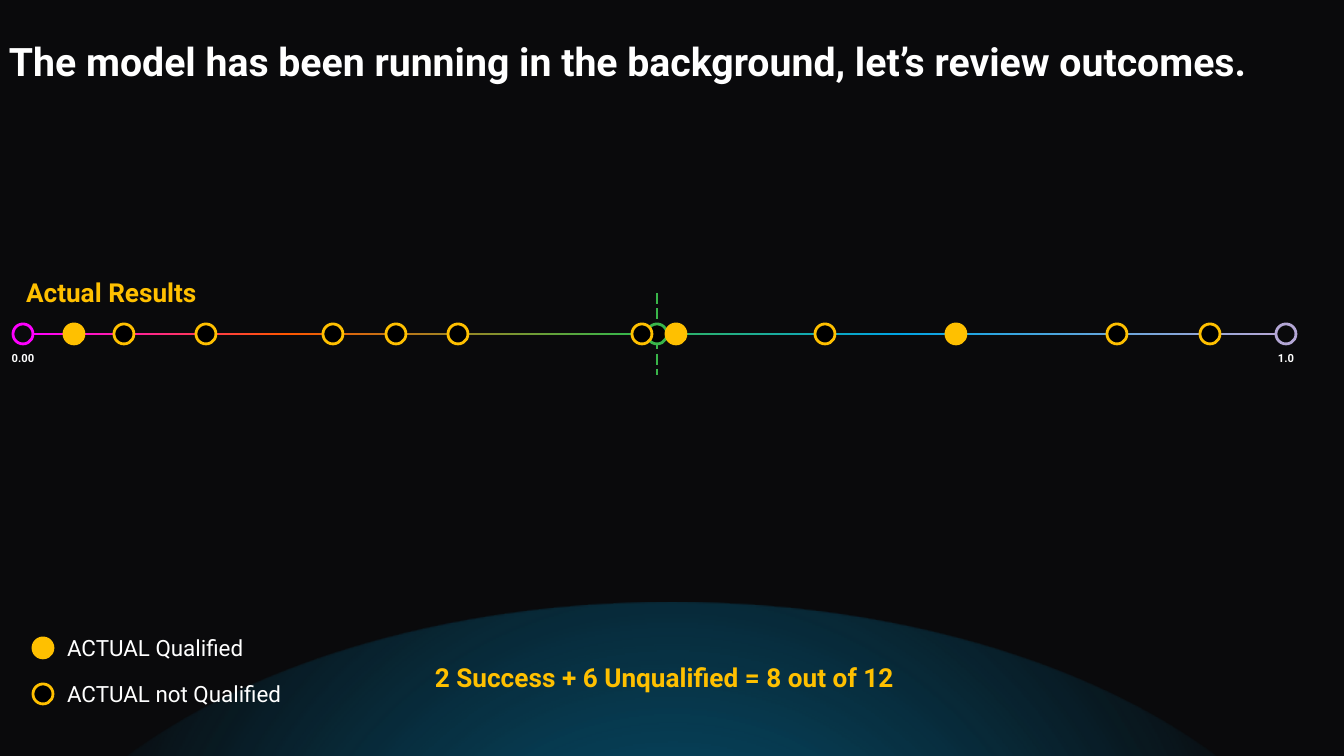
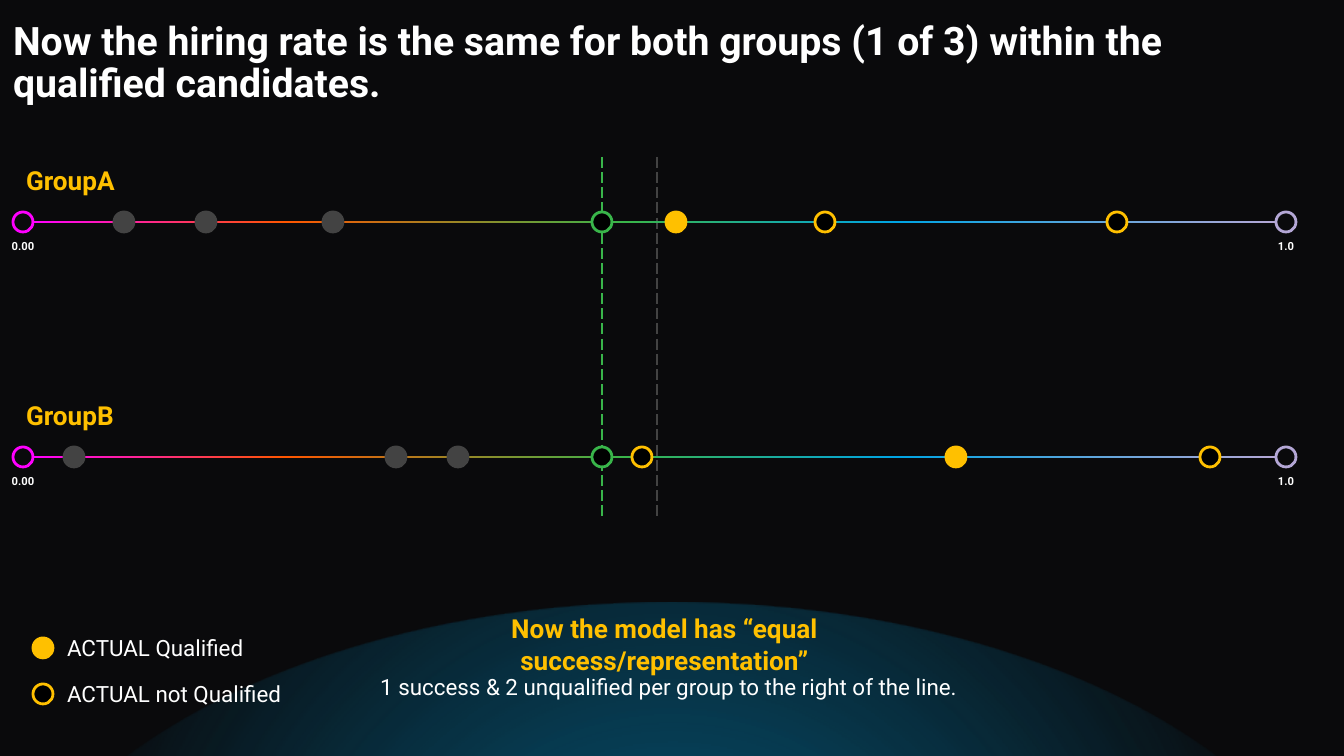
from dataclasses import dataclass

from lxml.etree import SubElement as Sub
from pptx import Presentation
from pptx.dml.color import RGBColor as Rgb
from pptx.enum.dml import MSO_LINE_DASH_STYLE as Dash
from pptx.enum.shapes import MSO_CONNECTOR_TYPE as Conn, MSO_SHAPE as Geom
from pptx.enum.text import MSO_ANCHOR as Anchor, MSO_AUTO_SIZE as Fit, PP_ALIGN as Align
from pptx.oxml.ns import qn
from pptx.util import Pt


@dataclass(frozen=True)
class Theme:
    font: str = "Roboto"
    night: str = "0A0A0C"
    black: str = "000000"
    white: str = "FFFFFF"
    gold: str = "FFC000"
    grey: str = "434343"
    pink: str = "FF00FF"
    orange: str = "FF5600"
    green: str = "39B54A"
    blue: str = "00A4E4"
    lilac: str = "B4A7D6"
    title: int = 21
    head: int = 14
    body: int = 12
    tick: int = 6


T = Theme()
WIDE, HIGH = 1344, 756
DOT = 20
START, END = 23, 1286
BANDS = [(34, T.pink), (285, T.orange), (627, T.green), (897, T.blue), (1275, T.lilac)]
TEAM_A = [124, 206, 333, 676, 825, 1117]
TEAM_B = [74, 396, 458, 642, 956, 1210]
SKILLED = {74, 676, 956}
OLD_CUT, NEW_CUT = 657, 602


def px(num):
    return round(num * 914400 / 134.4)


def place(shape, left, top, width, height):
    shape.left, shape.top = px(left), px(top)
    shape.width, shape.height = px(width), px(height)


def put_text(shape, text, size=T.body, color=T.white, bold=False, align=Align.LEFT,
             anchor=Anchor.TOP, inset=(13, 13), space=None):
    frame = shape.text_frame
    frame.word_wrap = True
    frame.auto_size = Fit.NONE
    frame.vertical_anchor = anchor
    frame.margin_left = frame.margin_right = px(inset[0])
    frame.margin_top = frame.margin_bottom = px(inset[1])
    frame.text = text
    para = frame.paragraphs[0]
    para.alignment = align
    if space:
        para.line_spacing = space
    font = para.font
    font.name, font.size, font.bold = T.font, Pt(size), bold
    font.color.rgb = Rgb.from_string(color)


def add_text(slide, box, text, **style):
    put_text(slide.shapes.add_textbox(*map(px, box)), text, **style)


def add_head(slide, box, text, **style):
    add_text(slide, box, text, size=T.head, color=T.gold, bold=True,
             anchor=Anchor.MIDDLE, **style)


def add_plain(shapes, geom, box):
    shape = shapes.add_shape(geom, *map(px, box))
    shape.shadow.inherit = False
    return shape


def add_dot(slide, x, y, fill, line):
    """Ring or disc centred on x, y."""
    dot = add_plain(slide.shapes, Geom.OVAL, (x - DOT / 2, y - DOT / 2, DOT, DOT))
    dot.fill.solid()
    dot.fill.fore_color.rgb = Rgb.from_string(fill)
    dot.line.color.rgb = Rgb.from_string(line)
    dot.line.width = Pt(1.5)


def blend(shape, stops, radial=False):
    """Fill with stops of (percent, colour, opacity percent)."""
    shape.line.fill.background()
    shape.fill.gradient()
    grad = shape.element.spPr.find(qn("a:gradFill"))
    grad.clear()
    row = Sub(grad, qn("a:gsLst"))
    for pos, color, alpha in stops:
        stop = Sub(row, qn("a:gs"), pos=str(pos * 1000))
        tint = Sub(stop, qn("a:srgbClr"), val=color)
        if alpha < 100:
            Sub(tint, qn("a:alpha"), val=str(alpha * 1000))
    if radial:
        ring = Sub(grad, qn("a:path"), path="circle")
        Sub(ring, qn("a:fillToRect"), {side: "50000" for side in "ltrb"})
    else:
        Sub(grad, qn("a:lin"), ang="0", scaled="0")


def add_cut(slide, x, top, end, color):
    """Dashed upright line at a score limit."""
    line = slide.shapes.add_connector(Conn.STRAIGHT, px(x), px(top), px(x), px(end))
    line.line.color.rgb = Rgb.from_string(color)
    line.line.width = Pt(0.75)
    line.line.dash_style = Dash.LONG_DASH
    Sub(line.element.spPr, qn("a:effectLst"))


def add_scale(slide, y, name, scores, cut, grey_out=False):
    """Score axis from 0 to 1 with its candidates."""
    group = slide.shapes.add_group_shape()
    for (left, first), (right, last) in zip(BANDS, BANDS[1:]):
        bar = add_plain(group.shapes, Geom.RECTANGLE, (left, y - 1, right - left, 2))
        blend(bar, [(0, first, 100), (100, last, 100)])
    for x, tick, color in [(START, "0.00", T.pink), (END, "1.0", T.lilac)]:
        add_dot(slide, x, y, T.night, color)
        add_text(slide, (x - 40, y + 10, 80, 58), tick, size=T.tick, bold=True,
                 align=Align.CENTER, inset=(7, 7))
    add_head(slide, (13, y - 62, 232, 40), name)
    add_dot(slide, cut, y, T.black, T.green)
    for x in scores:
        if grey_out and x < cut:
            add_dot(slide, x, y, T.grey, T.grey)
        else:
            add_dot(slide, x, y, T.gold if x in SKILLED else T.black, T.gold)


def add_slide(deck, title, left):
    """Slide with its title, glow and legend."""
    slide = deck.slides.add_slide(deck.slide_layouts[5])
    place(slide.shapes.title, left, 20, 1328 - left, 87)
    put_text(slide.shapes.title, title, size=T.title, bold=True,
             anchor=Anchor.MIDDLE, inset=(9, 5), space=0.9)
    glow = add_plain(slide.shapes, Geom.OVAL, (-19, 603, 1383, 802))
    blend(glow, [(pos, T.blue, alpha) for pos, alpha in
                 [(0, 44), (16, 44), (80, 0), (100, 0)]], radial=True)
    for y, fill, text in [(648, T.gold, "ACTUAL Qualified"),
                          (694, T.black, "ACTUAL not Qualified")]:
        add_dot(slide, 43, y, fill, T.gold)
        add_text(slide, (54, y - 27, 313, 38), text)
    return slide


def add_review(deck):
    slide = add_slide(
        deck, "The model has been running in the background, let’s review outcomes.", 0)
    add_cut(slide, OLD_CUT, 293, 375, T.green)
    add_scale(slide, 334, "Actual Results", TEAM_A + TEAM_B, OLD_CUT)
    add_head(slide, (366, 657, 597, 40), "2 Success + 6 Unqualified = 8 out of 12",
             align=Align.CENTER)


def add_groups(deck):
    slide = add_slide(deck, "Now the hiring rate is the same for both groups (1 of 3) "
                            "within the qualified candidates.", 4)
    for x, color in [(OLD_CUT, T.grey), (NEW_CUT, T.green)]:
        add_cut(slide, x, 157, 519, color)
    add_scale(slide, 222, "GroupA", TEAM_A, NEW_CUT, grey_out=True)
    add_scale(slide, 457, "GroupB", TEAM_B, NEW_CUT, grey_out=True)
    add_head(slide, (366, 624, 597, 40),
             "Now the model has “equal success/representation”", align=Align.CENTER)
    add_text(slide, (362, 660, 614, 75),
             "1 success & 2 unqualified per group to the right of the line.",
             align=Align.CENTER)


def main():
    deck = Presentation()
    deck.slide_width, deck.slide_height = px(WIDE), px(HIGH)
    back = deck.slide_master.background.fill
    back.solid()
    back.fore_color.rgb = Rgb.from_string(T.night)
    add_review(deck)
    add_groups(deck)
    deck.save("out.pptx")


if __name__ == "__main__":
    main()
